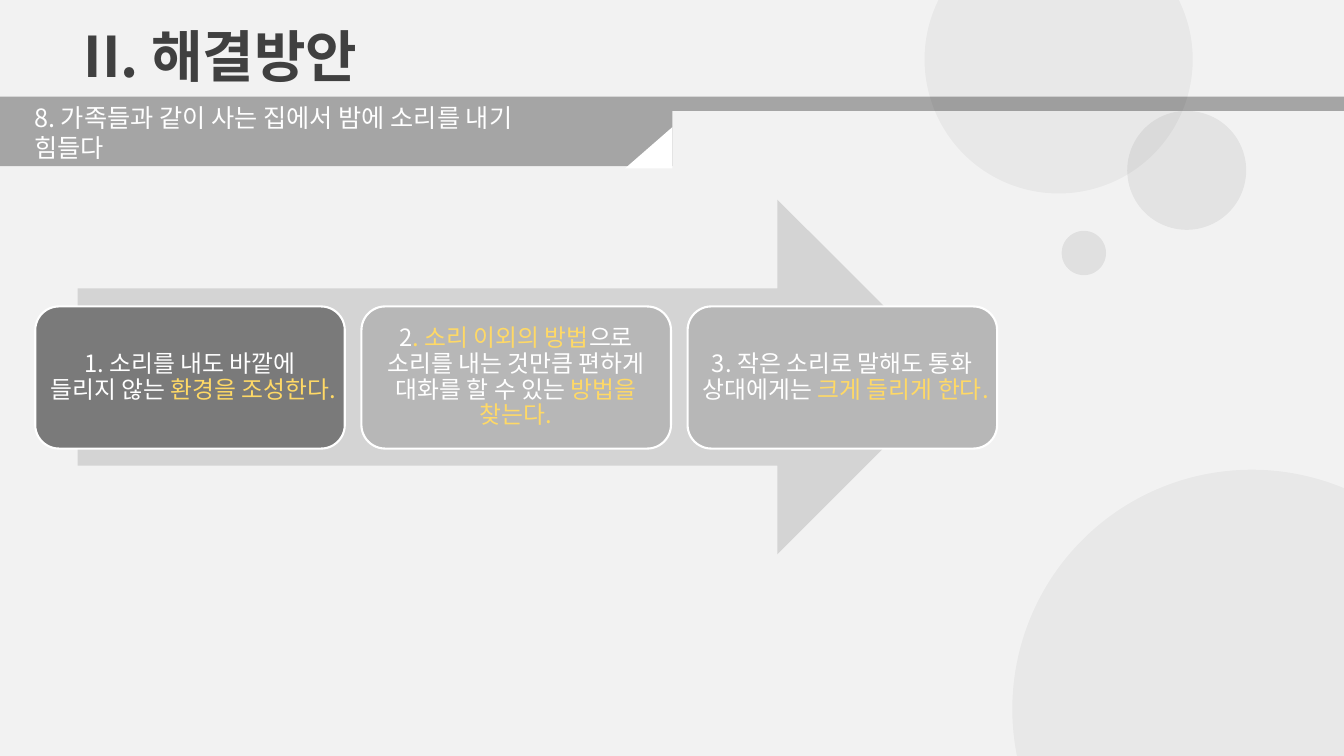
from dataclasses import dataclass
from lxml.etree import SubElement
from pptx import Presentation
from pptx.dml.color import RGBColor
from pptx.enum.shapes import MSO_SHAPE
from pptx.enum.text import MSO_ANCHOR, MSO_AUTO_SIZE, PP_ALIGN
from pptx.oxml.ns import qn
from pptx.util import Inches, Pt

TITLE = "II. 해결방안"
ISSUE = "8. 가족들과 같이 사는 집에서 밤에 소리를 내기 힘들다"
STEPS = [
    [("1. 소리를 내도 바깥에 들리지 않는 ", False), ("환경을 조성한다.", True)],
    [("2", False), (". 소리 이외의 방법", True),
     ("으로 소리를 내는 것만큼 편하게 대화를 할 수 있는 ", False),
     ("방법을 찾는다.", True)],
    [("3. 작은 소리로 말해도 통화 상대에게는 ", False), ("크게 들리게 한다.", True)],
]
CIRCLES = [
    (9.17, -0.74, 2.66, 4),
    (11.18, 1.1, 1.18, 6),
    (10.53, 2.29, 0.44, 7),
    (10.04, 4.66, 4.75, 4),
]


@dataclass(frozen=True)
class Theme:
    font: str = "Noto Sans CJK KR"
    back: str = "F2F2F2"
    ink: str = "404040"
    band: str = "A5A5A5"
    arrow: str = "D4D4D4"
    first: str = "7A7A7A"
    rest: str = "B7B7B7"
    white: str = "FFFFFF"
    gold: str = "FFD966"
    black: str = "000000"
    head: int = 40
    sub: int = 18
    body: int = 17


theme = Theme()


def color(code):
    return RGBColor.from_string(code)


def write(frame, runs, size, tint=theme.white, bold=False, align=PP_ALIGN.LEFT,
          anchor=MSO_ANCHOR.MIDDLE, inset=(0, 0), space=1.0):
    frame.word_wrap = True
    frame.auto_size = MSO_AUTO_SIZE.NONE
    frame.vertical_anchor = anchor
    frame.margin_left = frame.margin_right = Inches(inset[0])
    frame.margin_top = frame.margin_bottom = Inches(inset[1])
    para = frame.paragraphs[0]
    para.alignment = align
    para.line_spacing = space
    for text, accent in runs:
        run = para.add_run()
        run.text = text
        font = run.font
        font.size = Pt(size)
        font.bold = bold
        font.color.rgb = color(theme.gold if accent else tint)
        font.name = theme.font
        SubElement(run._r.get_or_add_rPr(), qn("a:ea"), typeface=theme.font)


def draw(slide, kind, box, fill, line=None, alpha=None):
    shape = slide.shapes.add_shape(kind, *map(Inches, box))
    shape.shadow.inherit = False
    shape.fill.solid()
    shape.fill.fore_color.rgb = color(fill)
    if line:
        shape.line.color.rgb = color(line)
        shape.line.width = Pt(1.5)
    else:
        shape.line.fill.background()
    if alpha:
        tone = shape._element.spPr.find(qn("a:solidFill"))[0]
        SubElement(tone, qn("a:alpha"), val=str(alpha * 1000))
    return shape


def main():
    deck = Presentation()
    deck.slide_width, deck.slide_height = Inches(13.33), Inches(7.5)
    slide = deck.slides.add_slide(deck.slide_layouts[5])
    slide.background.fill.solid()
    slide.background.fill.fore_color.rgb = color(theme.back)

    title = slide.shapes.title
    title.left, title.top = Inches(0.73), Inches(0.16)
    title.width, title.height = Inches(4.07), Inches(0.77)
    write(title.text_frame, [(TITLE, False)], theme.head, tint=theme.ink,
          bold=True, anchor=MSO_ANCHOR.TOP, inset=(0.1, 0.05))

    draw(slide, MSO_SHAPE.RECTANGLE, (0, 0.96, 13.33, 0.14), theme.band)
    draw(slide, MSO_SHAPE.RECTANGLE, (0, 1.08, 6.67, 0.57), theme.band)
    fold = draw(slide, MSO_SHAPE.RIGHT_TRIANGLE, (6.23, 1.23, 0.41, 0.47), theme.white)
    fold.rotation = 270

    draw(slide, MSO_SHAPE.RIGHT_ARROW, (0.77, 1.98, 8.7, 3.52), theme.arrow)
    left, pitch = 0.35, 3.235
    for num, runs in enumerate(STEPS):
        fill = theme.rest if num else theme.first
        card = draw(slide, MSO_SHAPE.ROUNDED_RECTANGLE,
                    (left + num * pitch, 3.04, 3.07, 1.41), fill, line=theme.white)
        write(card.text_frame, runs, theme.body, align=PP_ALIGN.CENTER,
              inset=(0.07, 0.07), space=0.9)

    issue = slide.shapes.add_textbox(*map(Inches, (0.34, 1.03, 5.42, 0.57)))
    write(issue.text_frame, [(ISSUE, False)], theme.sub)

    for x, y, size, alpha in CIRCLES:
        draw(slide, MSO_SHAPE.OVAL, (x, y, size, size), theme.black, alpha=alpha)

    deck.save("out.pptx")


if __name__ == "__main__":
    main()
